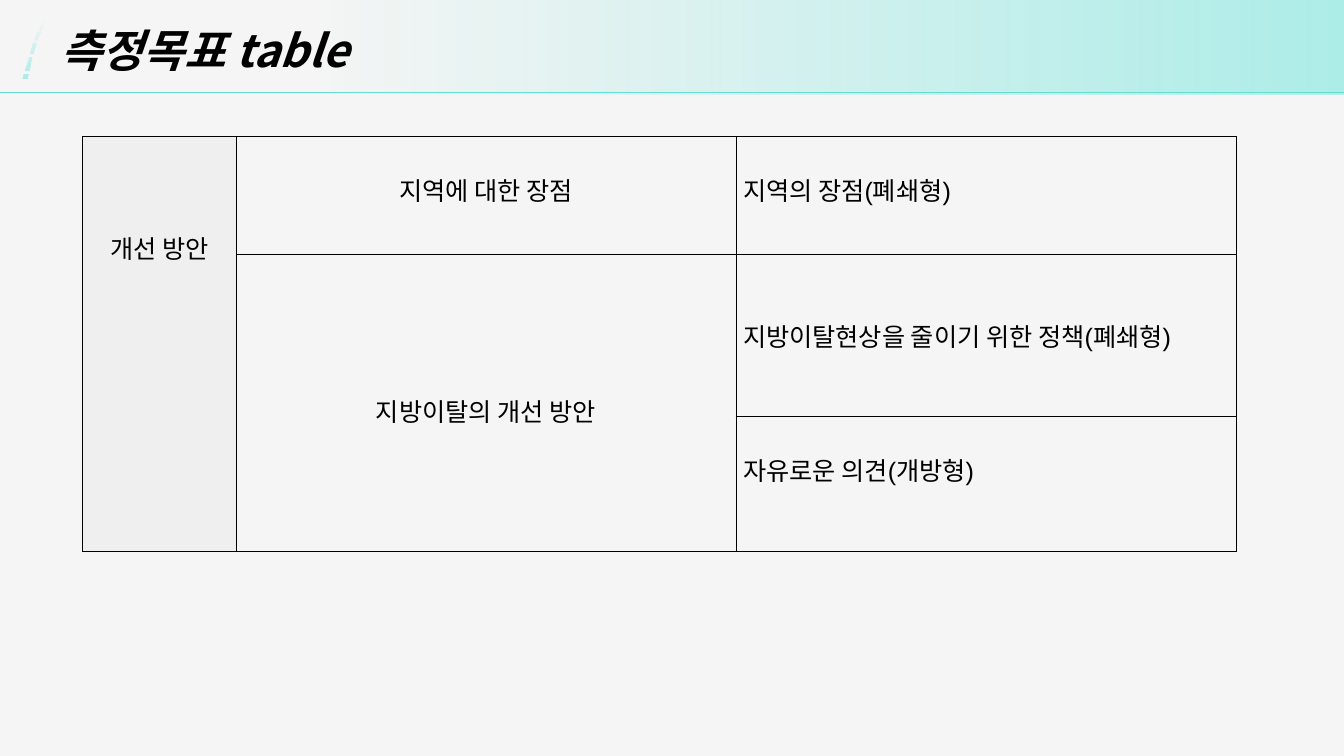
"""Build the measurement goal table slide."""
from lxml.etree import SubElement
from pptx import Presentation
from pptx.dml.color import RGBColor
from pptx.enum.shapes import MSO_CONNECTOR as Connector, MSO_SHAPE as Shape
from pptx.enum.text import PP_ALIGN as Align
from pptx.oxml.ns import qn
from pptx.util import Inches, Pt

COLORS = {"page": "F5F5F5", "mint": "ADEDE8", "rule": "65DDD4",
          "label": "EFEFEF", "ink": "000000"}
KOREAN = "Noto Sans CJK KR"
WIDTH, HEIGHT = 13.33, 7.5
TITLE = "측정목표 table"
COLUMNS = [1.52, 4.96, 4.96]
ROWS = [1.17, 1.61, 1.34]
INSET = 0.07
# row, column, last row, text, top inset, alignment
ENTRIES = [
    (0, 0, 2, "개선 방안", 0.92, Align.CENTER),
    (0, 1, 0, "지역에 대한 장점", 0.35, Align.CENTER),
    (0, 2, 0, "지역의 장점(폐쇄형)", 0.35, Align.LEFT),
    (1, 1, 2, "지방이탈의 개선 방안", 1.37, Align.CENTER),
    (1, 2, 1, "지방이탈현상을 줄이기 위한 정책(폐쇄형)", 0.63, Align.LEFT),
    (2, 2, 2, "자유로운 의견(개방형)", 0.35, Align.LEFT),
]
DASHES = [
    [(23, 73), (28, 73), (27, 78), (22, 78)],
    [(28, 56), (32, 56), (31, 61), (29, 70), (24, 70), (27, 61)],
    [(33, 42), (36, 42), (36, 44), (33, 53), (29, 53), (32, 43)],
    [(37, 31), (40, 31), (40, 32), (37, 40), (33, 40), (36, 32)],
    [(40, 24), (43, 24), (41, 30), (38, 30), (39, 26)],
    [(42, 19), (44, 19), (43, 23), (40, 23)],
]


def rgb(name):
    return RGBColor.from_string(COLORS[name])


def write(frame, text, size=18, font="Arial", align=Align.LEFT, **style):
    paragraph = frame.paragraphs[0]
    paragraph.alignment = align
    run = paragraph.add_run()
    run.text = text
    run.font.size, run.font.name = Pt(size), font
    run.font.color.rgb = rgb("ink")
    for key, value in style.items():
        setattr(run.font, key, value)
    SubElement(run.font.language_id and run.font._rPr or run.font._rPr,
               qn("a:ea"), typeface=KOREAN)


def fade(shape, start, angle):
    shape.shadow.inherit = False
    shape.line.fill.background()
    shape.fill.gradient()
    shape.fill.gradient_angle = angle
    for stop, position in zip(shape.fill.gradient_stops, (start, 1)):
        stop.color.rgb = rgb("mint")
        stop.position = position
    clear = next(shape.element.spPr.iter(qn("a:srgbClr")))
    SubElement(clear, qn("a:alpha"), val="0")


def outline(cell):
    properties = cell._tc.get_or_add_tcPr()
    for side in "LRTB":
        edge = SubElement(properties, qn(f"a:ln{side}"), w=str(Pt(0.5)))
        paint = SubElement(edge, qn("a:solidFill"))
        SubElement(paint, qn("a:srgbClr"), val=COLORS["ink"])


def add_header(slide):
    band = slide.shapes.add_shape(Shape.RECTANGLE, 0, 0, Inches(WIDTH), Inches(0.94))
    fade(band, 0.24, 0)
    first, *others = DASHES
    builder = slide.shapes.build_freeform(*first[0], scale=Inches(0.01))
    builder.add_line_segments(first[1:])
    for dash in others:
        builder.move_to(*dash[0])
        builder.add_line_segments(dash[1:])
    fade(builder.convert_to_shape(), 0, 270)
    title = slide.shapes.add_textbox(Inches(0.5), Inches(0.18), Inches(6.39), Inches(0.64))
    title.text_frame.word_wrap = True
    write(title.text_frame, TITLE, size=32, font=KOREAN, bold=True, italic=True)
    rule = slide.shapes.add_connector(
        Connector.STRAIGHT, 0, Inches(0.92), Inches(WIDTH), Inches(0.92))
    rule.line.color.rgb, rule.line.width = rgb("rule"), Pt(0.5)
    SubElement(rule.element.spPr, qn("a:effectLst"))


def add_goals(slide):
    goals = slide.shapes.add_table(
        len(ROWS), len(COLUMNS), Inches(0.82), Inches(1.35),
        Inches(sum(COLUMNS)), Inches(sum(ROWS))).table
    goals.first_row = goals.horz_banding = False
    for column, width in zip(goals.columns, COLUMNS):
        column.width = Inches(width)
    for row, height in zip(goals.rows, ROWS):
        row.height = Inches(height)
    for cell in goals.iter_cells():
        outline(cell)
        cell.fill.background()
    for row, column, last, text, top, align in ENTRIES:
        cell = goals.cell(row, column)
        if last > row:
            cell.merge(goals.cell(last, column))
        cell.margin_left = cell.margin_right = cell.margin_bottom = Inches(INSET)
        cell.margin_top = Inches(top)
        write(cell.text_frame, text, align=align)
    label = goals.cell(0, 0).fill
    label.solid()
    label.fore_color.rgb = rgb("label")


def main():
    deck = Presentation()
    deck.slide_width, deck.slide_height = Inches(WIDTH), Inches(HEIGHT)
    slide = deck.slides.add_slide(deck.slide_layouts[6])
    slide.background.fill.solid()
    slide.background.fill.fore_color.rgb = rgb("page")
    add_header(slide)
    add_goals(slide)
    deck.save("out.pptx")


if __name__ == "__main__":
    main()
